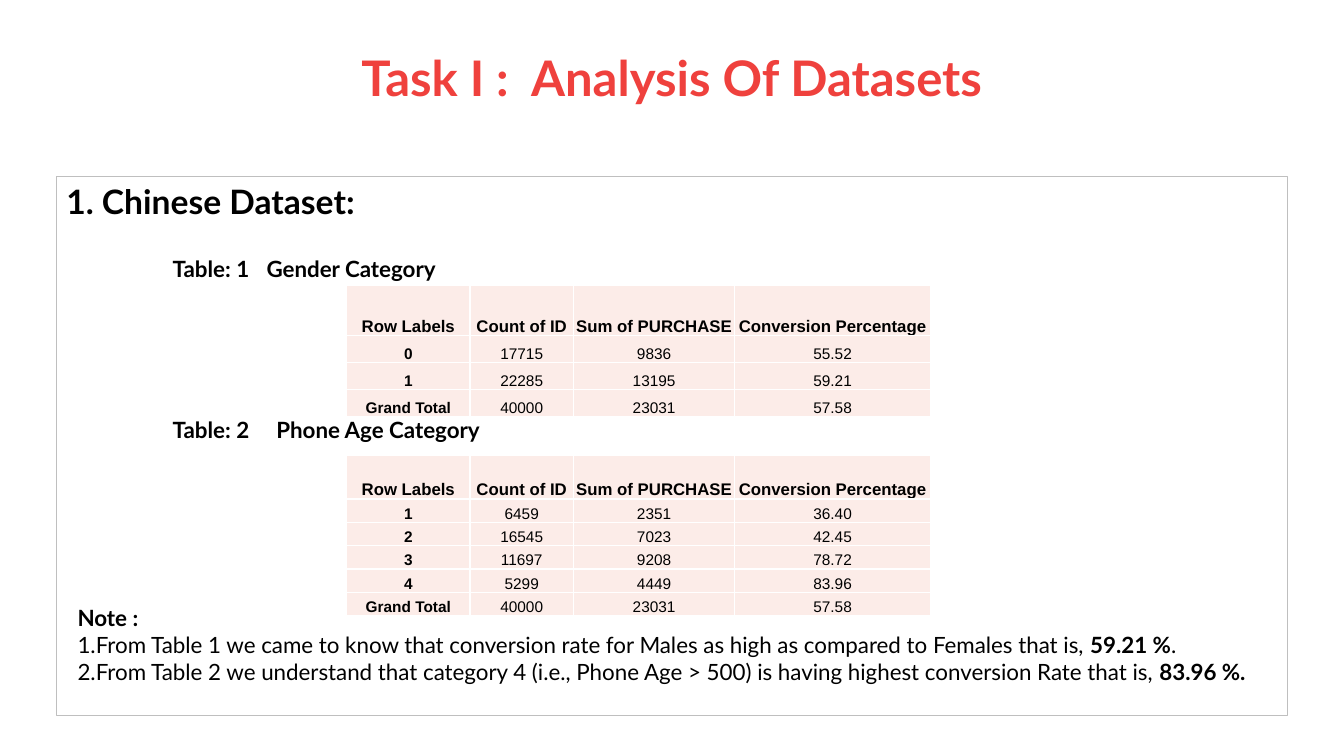
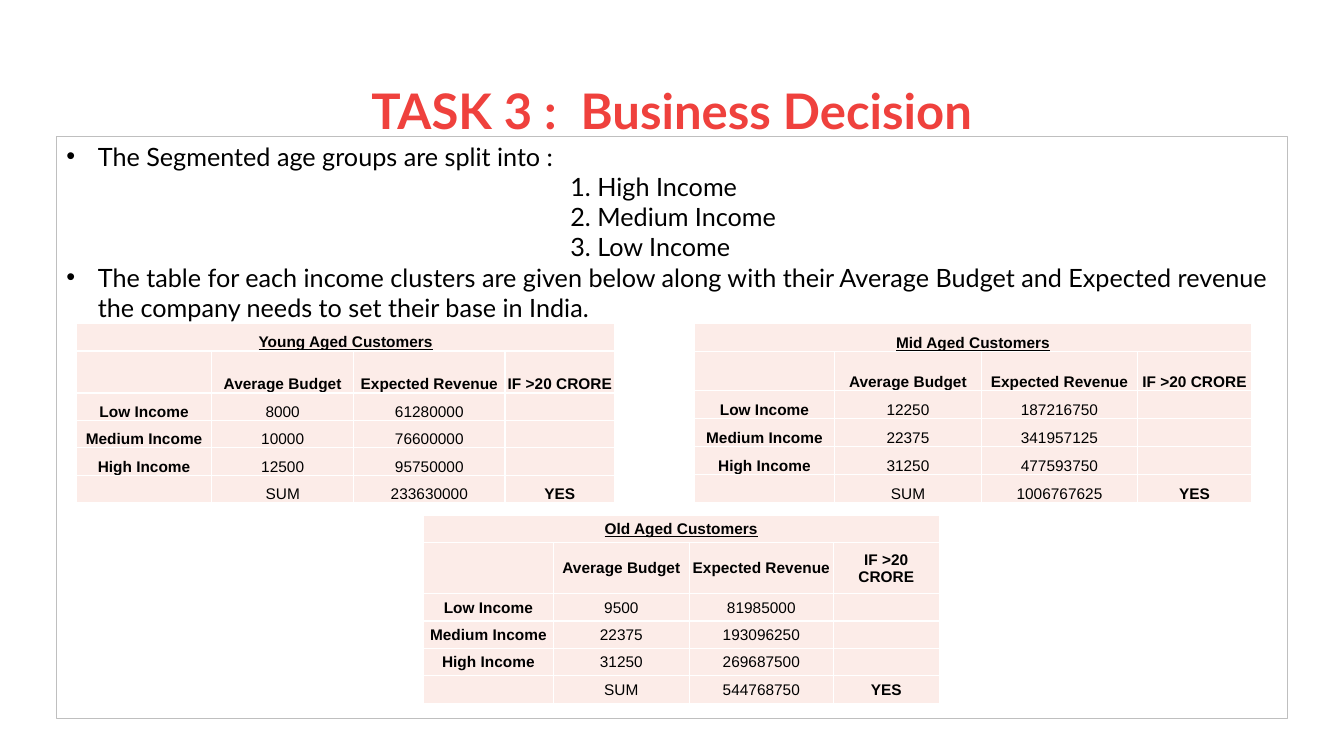
from lxml.etree import SubElement
from pptx import Presentation
from pptx.dml.color import RGBColor
from pptx.enum.shapes import MSO_SHAPE
from pptx.enum.text import MSO_ANCHOR, MSO_AUTO_SIZE, PP_ALIGN
from pptx.oxml.ns import qn
from pptx.util import Pt

# Shared look
TITLE_COLOUR = "EF413D"
TEXT_COLOUR = "000000"
CELL_COLOUR = "FCECE8"
CELL_BORDER = "FFFFFF"
BOX_BORDER = "BFBFBF"
TITLE_AREA = (66, 28.8, 828, 104.4)
BOX_LEFT, BOX_WIDTH = 40.3, 879.4
CELL_MARGINS = {"margin_left": Pt(0.7), "margin_right": Pt(0.7),
                "margin_top": Pt(0.7), "margin_bottom": Pt(0)}
color = RGBColor.from_string


def add_run(paragraph, text, colour=TEXT_COLOUR, **font_format):
    run = paragraph.add_run()
    run.text = text
    run.font.color.rgb = color(colour)
    for name, value in font_format.items():
        setattr(run.font, name, value)


def add_data_table(slide, left, top, widths, heights, rows, header_size, anchor):
    """Place a table; a row with a single text becomes a merged heading."""
    table = slide.shapes.add_table(len(rows), len(widths), Pt(left), Pt(top),
                                   Pt(sum(widths)), Pt(sum(heights))).table
    table.first_row = table.horz_banding = False
    for column, width in zip(table.columns, widths):
        column.width = Pt(width)
    for row, height in zip(table.rows, heights):
        row.height = Pt(height)
    header_row = [len(texts) for texts in rows].index(len(widths))

    for row_index, texts in enumerate(rows):
        heading = len(texts) == 1
        for column_index in range(len(widths)):
            cell = table.cell(row_index, column_index)
            for name, value in CELL_MARGINS.items():
                setattr(cell, name, value)
            cell.vertical_anchor = anchor
            properties = cell._tc.get_or_add_tcPr()
            for side in "LRTB":
                line = SubElement(properties, qn(f"a:ln{side}"), w=str(Pt(1)))
                fill = SubElement(line, qn("a:solidFill"))
                SubElement(fill, qn("a:srgbClr"), val=CELL_BORDER)
            cell.fill.solid()
            cell.fill.fore_color.rgb = color(CELL_COLOUR)

            paragraph = cell.text_frame.paragraphs[0]
            paragraph.alignment = PP_ALIGN.CENTER
            text = texts[column_index] if column_index < len(texts) else ""
            if text:
                in_header = row_index <= header_row
                add_run(paragraph, text, name="Arial", underline=heading,
                        size=Pt(header_size if in_header else 11),
                        bold=in_header or column_index == 0 or text == "YES")
            else:
                SubElement(paragraph._p, qn("a:endParaRPr"), sz="1100")
        if heading:
            table.cell(row_index, 0).merge(table.cell(row_index, len(widths) - 1))


# Table contents
COUNT_HEADER = ["Row Labels", "Count of ID", "Sum of PURCHASE", "Conversion Percentage"]
COUNT_WIDTHS = [88, 74, 115.2, 139.8]
COUNT_TOTAL = ["Grand Total", "40000", "23031", "57.58"]
gender_rows = [
    COUNT_HEADER,
    ["0", "17715", "9836", "55.52"],
    ["1", "22285", "13195", "59.21"],
    COUNT_TOTAL,
]
phone_age_rows = [
    COUNT_HEADER,
    ["1", "6459", "2351", "36.40"],
    ["2", "16545", "7023", "42.45"],
    ["3", "11697", "9208", "78.72"],
    ["4", "5299", "4449", "83.96"],
    COUNT_TOTAL,
]

INCOME_HEADER = ["", "Average Budget", "Expected Revenue", "IF >20 CRORE"]
INCOME_LEVELS = ["Low Income", "Medium Income", "High Income"]
income_rows = {}
for group, budgets, revenues, total in [
    ("Young", ["8000", "10000", "12500"], ["61280000", "76600000", "95750000"], "233630000"),
    ("Mid", ["12250", "22375", "31250"], ["187216750", "341957125", "477593750"], "1006767625"),
    ("Old", ["9500", "22375", "31250"], ["81985000", "193096250", "269687500"], "544768750"),
]:
    income_rows[group] = [
        [f"{group} Aged Customers"],
        INCOME_HEADER,
        *[[*values, ""] for values in zip(INCOME_LEVELS, budgets, revenues)],
        ["", "SUM", total, "YES"],
    ]

# Slide contents: each paragraph has runs of (text, bold) and its own layout
BULLET = {"indent": 22.5, "bullet": True}
slides = [
    {
        "title": "Task I :  Analysis Of Datasets",
        "title_bottom_margin": 50.8,
        "box": (126, 385.2),
        "size": 16,
        "paragraphs": [
            {"runs": [("1. Chinese Dataset:", True)], "size": 24},
            {"runs": [("\tTable: 1\tGender Category", True)], "before": 23.6, "tabs": [76, 143]},
            {"runs": [("\tTable: 2\tPhone Age Category", True)], "before": 96, "tabs": [76, 150]},
            {"runs": [("Note :", True)], "before": 115.2, "indent": 8},
            {"runs": [("1.From Table 1 we came to know that conversion rate for Males as high "
                       "as compared to Females that is, ", False),
                      ("59.21 %", True), (".", False)], "indent": 8},
            {"runs": [("2.From Table 2 we understand that category 4 (i.e., Phone Age > 500) "
                       "is having highest conversion Rate that is, ", False),
                      ("83.96 %.", True)], "indent": 8},
        ],
        "tables": [
            (247.7, 203.8, COUNT_WIDTHS, [36] + [19.2] * 3, gender_rows, 12, MSO_ANCHOR.BOTTOM),
            (247.7, 325.4, COUNT_WIDTHS, [31] + [16.7] * 5, phone_age_rows, 12, MSO_ANCHOR.BOTTOM),
        ],
    },
    {
        "title": "TASK 3 :  Business Decision",
        "title_bottom_margin": 3.6,
        "box": (97.2, 416.2),
        "size": 18,
        "paragraphs": [
            {"runs": [("The Segmented age groups are split into :", False)], **BULLET},
            *[{"runs": [(f"{number}. {level}", False)], "indent": 360}
              for number, level in enumerate(reversed(INCOME_LEVELS), 1)],
            {"runs": [("The table for each income clusters are given below along with their "
                       "Average Budget and Expected revenue the company needs to set their "
                       "base in India.", False)], **BULLET},
        ],
        "tables": [
            (54.7, 231.1, [96.5, 101.5, 108, 78.5], [19.6, 30] + [19.6] * 4,
             income_rows["Young"], 11, MSO_ANCHOR.BOTTOM),
            (496.1, 231.1, [100, 105, 111.5, 81.5], [20, 28] + [20] * 4,
             income_rows["Mid"], 11, MSO_ANCHOR.BOTTOM),
            (302.4, 367.9, [93, 97, 103, 75.5], [19.5, 36.6] + [19.6] * 4,
             income_rows["Old"], 11, MSO_ANCHOR.MIDDLE),
        ],
    },
]

presentation = Presentation()
presentation.slide_width, presentation.slide_height = Pt(960), Pt(540)

for content in slides:
    slide = presentation.slides.add_slide(presentation.slide_layouts[5])

    # Title
    title = slide.shapes.title
    title.left, title.top, title.width, title.height = map(Pt, TITLE_AREA)
    frame = title.text_frame
    frame.auto_size = MSO_AUTO_SIZE.NONE
    frame.vertical_anchor = MSO_ANCHOR.MIDDLE
    frame.margin_bottom = Pt(content["title_bottom_margin"])
    paragraph = frame.paragraphs[0]
    paragraph.alignment = PP_ALIGN.CENTER
    paragraph.line_spacing = 0.9
    add_run(paragraph, content["title"], TITLE_COLOUR, name="Lato", size=Pt(35), bold=True)

    # Outlined text box
    top, height = content["box"]
    box = slide.shapes.add_shape(MSO_SHAPE.RECTANGLE, Pt(BOX_LEFT), Pt(top),
                                 Pt(BOX_WIDTH), Pt(height))
    box.shadow.inherit = False
    box.fill.background()
    box.line.color.rgb = color(BOX_BORDER)
    box.line.width = Pt(0.75)
    frame = box.text_frame
    frame.word_wrap = True
    frame.vertical_anchor = MSO_ANCHOR.TOP
    for index, layout in enumerate(content["paragraphs"]):
        paragraph = frame.add_paragraph() if index else frame.paragraphs[0]
        paragraph.alignment = PP_ALIGN.LEFT
        paragraph.space_before = Pt(layout.get("before", 0))
        properties = paragraph._p.get_or_add_pPr()
        indent = Pt(layout.get("indent", 0))
        properties.set("marL", str(indent))
        if layout.get("bullet"):
            properties.set("indent", str(-indent))
            SubElement(properties, qn("a:buFont"), typeface="Arial")
            SubElement(properties, qn("a:buChar"), char="•")
        if "tabs" in layout:
            tab_list = SubElement(properties, qn("a:tabLst"))
            for position in layout["tabs"]:
                SubElement(tab_list, qn("a:tab"), pos=str(Pt(position)), algn="l")
        size = layout.get("size", content["size"])
        for text, bold in layout["runs"]:
            add_run(paragraph, text, name="Lato", size=Pt(size), bold=bold)

    # Tables
    for table_values in content["tables"]:
        add_data_table(slide, *table_values)

presentation.save("out.pptx")
